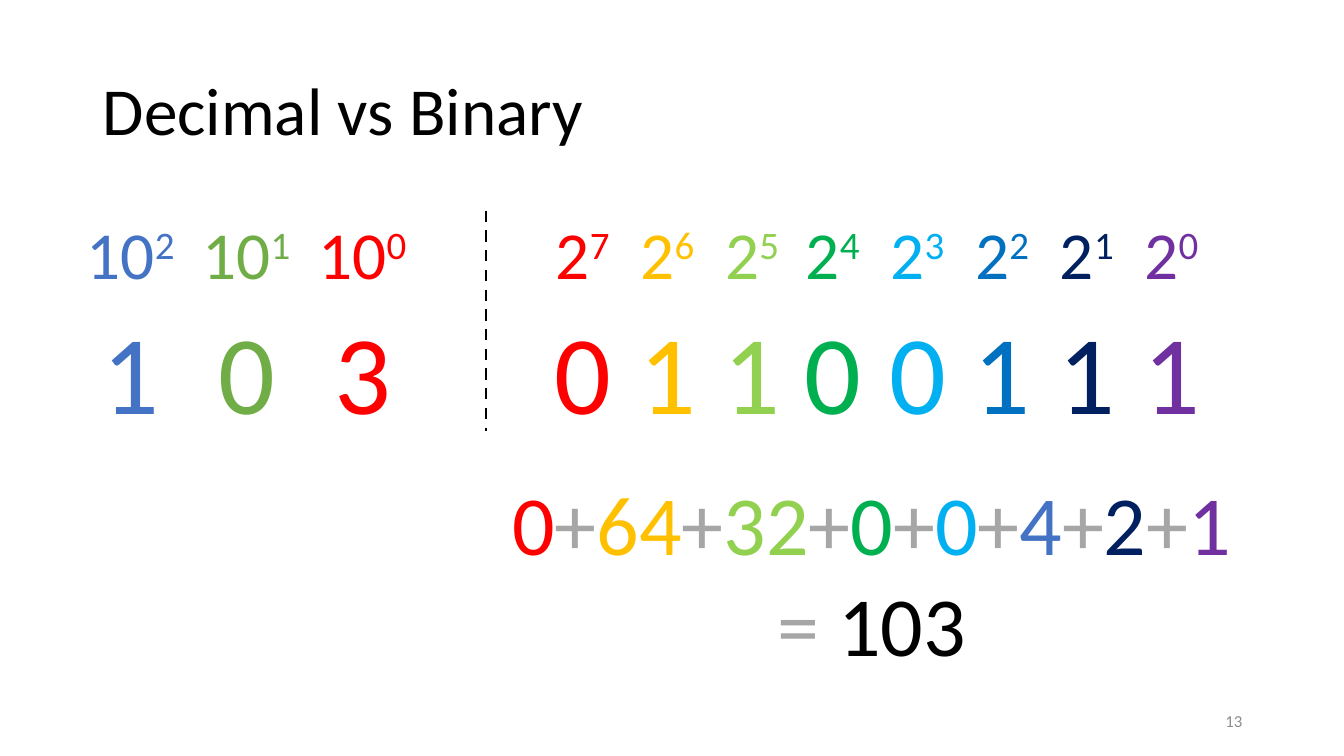
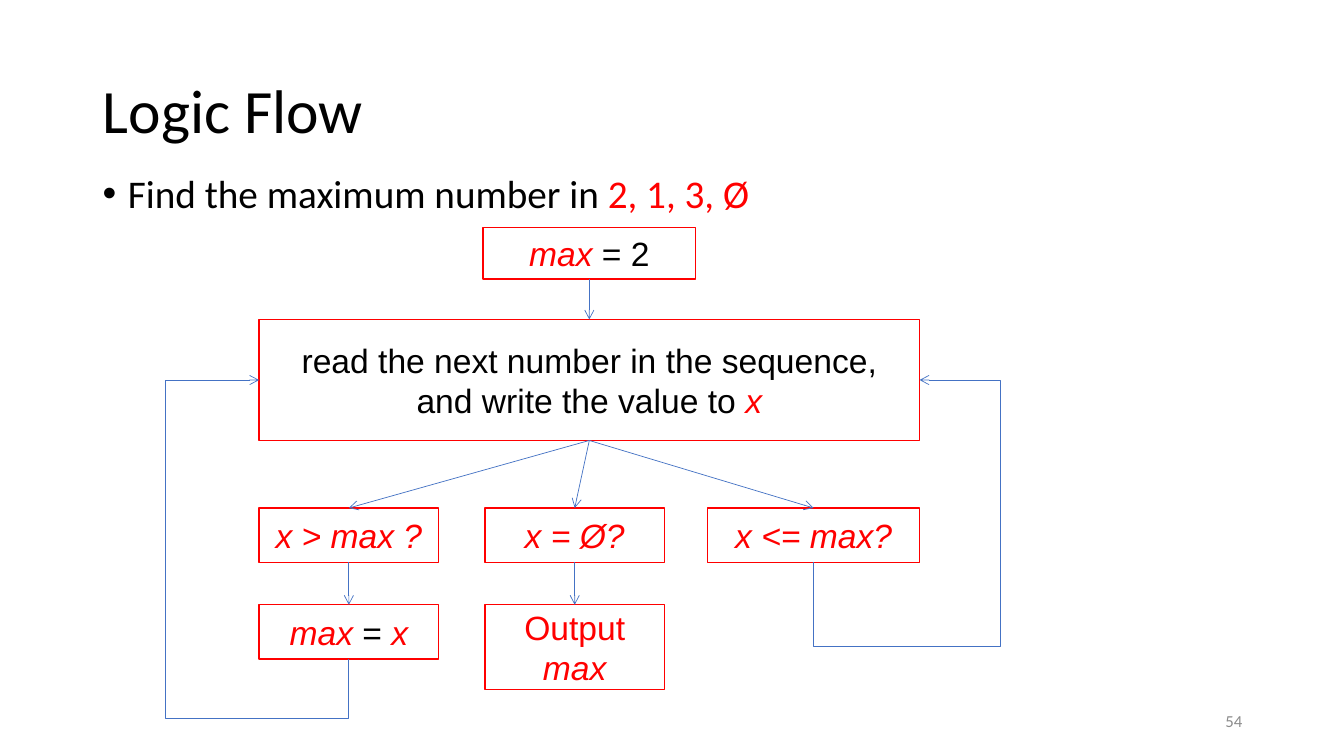
from lxml import etree
from pptx import Presentation
from pptx import util as u
from pptx.dml.color import RGBColor
from pptx.enum import dml, shapes, text
from pptx.oxml import ns

BLACK = RGBColor(0x00, 0x00, 0x00)
WHITE = RGBColor(0xFF, 0xFF, 0xFF)
RED = RGBColor(0xFF, 0x00, 0x00)
AMBER = RGBColor(0xFF, 0xC0, 0x00)
LIME = RGBColor(0x92, 0xD0, 0x50)
GREEN = RGBColor(0x00, 0xB0, 0x50)
SKY = RGBColor(0x00, 0xB0, 0xF0)
BLUE = RGBColor(0x00, 0x70, 0xC0)
NAVY = RGBColor(0x00, 0x20, 0x60)
PURPLE = RGBColor(0x70, 0x30, 0xA0)
ACCENT_BLUE = RGBColor(0x44, 0x72, 0xC4)
ACCENT_GREEN = RGBColor(0x70, 0xAD, 0x47)
GREY = RGBColor(0xA6, 0xA6, 0xA6)
FOOTER_GREY = RGBColor(0x8C, 0x8C, 0x8C)

HEADING_FONT = "Calibri"
FLOW_FONT = "Arial"
CENTER = text.PP_ALIGN.CENTER
TITLE_AREA = (0.92, 0.4, 11.5, 1.45)
NUMBER_AREA = (9.42, 6.95, 3, 0.4)
BOTTOM, LEFT, TOP, RIGHT = 2, 1, 0, 3


def inches(*lengths):
    return [u.Inches(length) for length in lengths]


def set_all(target, **values):
    for name, value in values.items():
        setattr(target, name, value)


def add_element(parent, tag, **attributes):
    element = etree.SubElement(parent, ns.qn(tag))
    for name, value in attributes.items():
        element.set(name, value)
    return element


def write_runs(paragraph, runs, size, font_name=HEADING_FONT, align=CENTER):
    paragraph.alignment = align
    for wording, colour, *style in runs:
        run = paragraph.add_run()
        run.text = wording
        set_all(run.font, name=font_name, size=u.Pt(size),
                bold=False, italic="italic" in style)
        run.font.color.rgb = colour
        if "raised" in style:
            run.font._element.set("baseline", "30000")


def add_text(slide, area, anchor=text.MSO_ANCHOR.TOP):
    frame = slide.shapes.add_textbox(*inches(*area)).text_frame
    set_all(frame, word_wrap=True, vertical_anchor=anchor)
    return frame


def add_titled_slide(deck, heading, number, size):
    slide = deck.slides.add_slide(deck.slide_layouts[5])
    title = slide.shapes.title
    for name, length in zip(("left", "top", "width", "height"), TITLE_AREA):
        setattr(title, name, u.Inches(length))
    set_all(title.text_frame, word_wrap=True,
            auto_size=text.MSO_AUTO_SIZE.NONE,
            vertical_anchor=text.MSO_ANCHOR.MIDDLE)
    heading_line = title.text_frame.paragraphs[0]
    heading_line.line_spacing = 0.9
    write_runs(heading_line, [(heading, BLACK)], size,
               align=text.PP_ALIGN.LEFT)
    page = add_text(slide, NUMBER_AREA, text.MSO_ANCHOR.MIDDLE)
    write_runs(page.paragraphs[0], [(number, FOOTER_GREY)], 12,
               align=text.PP_ALIGN.RIGHT)
    return slide


def add_line(slide, start, end, colour, width,
             kind=shapes.MSO_CONNECTOR.STRAIGHT):
    line = slide.shapes.add_connector(kind, *inches(*start, *end))
    line.line.color.rgb = colour
    line.line.width = u.Pt(width)
    add_element(line._element.spPr, "a:effectLst")
    return line


def add_place_values(slide, left, top, column_width, base, places):
    frame = slide.shapes.add_table(
        2, 3, *inches(left, top, 3 * column_width, 2.12))
    table = frame.table
    set_all(table, first_row=False, horz_banding=False)
    for column in table.columns:
        column.width = u.Inches(column_width)
    for row, height in zip(table.rows, (0.91, 1.21)):
        row.height = u.Inches(height)
    for cell in table.iter_cells():
        cell.fill.background()
    for index, (power, digit, colour) in enumerate(places):
        weight = [(base, colour), (power, colour, "raised")]
        for row, runs, size in ((0, weight, 48), (1, [(digit, colour)], 80)):
            write_runs(table.cell(row, index).text_frame.paragraphs[0],
                       runs, size)


def add_sum(slide, area, terms, total):
    frame = add_text(slide, area)
    runs = []
    for term in terms:
        if runs:
            runs.append(("+", GREY))
        runs.append(term)
    write_runs(frame.paragraphs[0], runs, 60)
    write_runs(frame.add_paragraph(), [("=", GREY), (" " + total, BLACK)], 60)


def build_number_slide(deck):
    slide = add_titled_slide(deck, "Decimal vs Binary", "13", 48)
    top = 2.09
    decimal = [("2", "1", ACCENT_BLUE), ("1", "0", ACCENT_GREEN),
               ("0", "3", RED)]
    colours = [RED, AMBER, LIME, GREEN, SKY, BLUE, NAVY, PURPLE]
    bits = "01100111"
    binary = [(str(7 - index), bit, colour)
              for index, (bit, colour) in enumerate(zip(bits, colours))]
    add_place_values(slide, 0.72, top, 1.15, "10", decimal)
    for group, left in enumerate((5.36, 7.84, 10.36)):
        add_place_values(slide, left, top, 0.84, "2",
                         binary[3 * group:3 * group + 3])
    term_colours = [ACCENT_BLUE if colour == BLUE else colour
                    for colour in colours]
    terms = [(str(int(bit) * 2 ** int(power)), colour)
             for (power, bit, _), colour in zip(binary, term_colours)]
    add_sum(slide, (4.66, 4.63, 7.97, 2.12), terms, str(int(bits, 2)))
    divider = add_line(slide, (4.82, top), (4.82, 4.28), BLACK, 2)
    divider.line.dash_style = dml.MSO_LINE.DASH


def add_task(slide, area, runs):
    left, top, width, height = area
    prompt = add_text(slide, (left, top, width, height))
    line = prompt.paragraphs[0]
    line.line_spacing = 0.9
    properties = line._p.get_or_add_pPr()
    properties.set("marL", str(u.Inches(0.25)))
    properties.set("indent", str(-u.Inches(0.25)))
    add_element(properties, "a:buFont", typeface="Arial")
    add_element(properties, "a:buChar", char="•")
    write_runs(line, runs, 28, align=text.PP_ALIGN.LEFT)


def add_step(slide, area, runs):
    step = slide.shapes.add_shape(shapes.MSO_SHAPE.RECTANGLE, *inches(*area))
    step.shadow.inherit = False
    step.fill.solid()
    step.fill.fore_color.rgb = WHITE
    step.line.color.rgb = RED
    step.line.width = u.Pt(1)
    set_all(step.text_frame, word_wrap=True,
            vertical_anchor=text.MSO_ANCHOR.MIDDLE,
            margin_left=u.Inches(0.12), margin_right=u.Inches(0.12))
    write_runs(step.text_frame.paragraphs[0], runs, 24, FLOW_FONT)
    return step


def side_middle(step, side):
    across = {LEFT: 0, RIGHT: 1}.get(side, 0.5)
    down = {TOP: 0, BOTTOM: 1}.get(side, 0.5)
    return ((step.left + across * step.width) / u.Inches(1),
            (step.top + down * step.height) / u.Inches(1))


def add_arrow(slide, start, end, kind=shapes.MSO_CONNECTOR.STRAIGHT):
    arrow = add_line(slide, start, end, ACCENT_BLUE, 0.5, kind)
    add_element(arrow.line._get_or_add_ln(), "a:tailEnd", type="arrow")
    return arrow


def join_down(slide, upper, lower):
    arrow = add_arrow(slide, side_middle(upper, BOTTOM),
                      side_middle(lower, TOP))
    arrow.begin_connect(upper, BOTTOM)
    arrow.end_connect(lower, TOP)


def loop_back(slide, source, target, side, floor, outer):
    start_x, start_y = side_middle(source, BOTTOM)
    end_x, end_y = side_middle(target, side)
    rise, reach = start_y - end_y, abs(end_x - start_x)
    left = (start_x + end_x - rise) / 2
    top = (start_y + end_y - reach) / 2
    loop = add_arrow(slide, (left, top), (left + rise, top + reach),
                     shapes.MSO_CONNECTOR.ELBOW)
    properties = loop._element.spPr
    frame = properties.find(ns.qn("a:xfrm"))
    frame.set("rot", "5400000")
    frame.set("flipH", "1")
    if side == RIGHT:
        frame.set("flipV", "1")
    geometry = properties.find(ns.qn("a:prstGeom"))
    geometry.set("prst", "bentConnector4")
    for guide in list(geometry):
        geometry.remove(guide)
    guides = add_element(geometry, "a:avLst")
    bends = ((start_y - floor) / rise, (outer - start_x) / (end_x - start_x))
    for index, bend in enumerate(bends, 1):
        add_element(guides, "a:gd", name=f"adj{index}",
                    fmla=f"val {round(bend * 100000)}")


def add_flow(slide, left, top):
    def step(x, y, width, height, *runs):
        return add_step(slide, (left + x, top + y, width, height), runs)

    max_name = ("max", RED, "italic")
    x_name = ("x", RED, "italic")
    check_y, result_y = 2.78, 3.74
    middle_x, check_width, check_height = 2.24, 1.78, 0.54
    start = step(2.22, 0, 2.11, 0.51, max_name, (" = 2", BLACK))
    read = step(0, 0.91, 6.55, 1.2,
                ("read the next number in the sequence, "
                 "and write the value to ", BLACK), x_name)
    larger = step(0, check_y, check_width, check_height,
                  ("x > max ?", RED, "italic"))
    finished = step(middle_x, check_y, check_width, check_height,
                    ("x = Ø?", RED, "italic"))
    smaller = step(4.45, check_y, 2.1, check_height,
                   ("x <= max?", RED, "italic"))
    update = step(0, result_y, check_width, check_height,
                  max_name, (" = ", BLACK), x_name)
    output = step(middle_x, result_y, check_width, 0.84,
                  ("Output ", RED), max_name)
    for upper, lower in ((start, read), (read, larger), (read, finished),
                         (read, smaller), (larger, update),
                         (finished, output)):
        join_down(slide, upper, lower)
    loop_back(slide, update, read, LEFT, top + 4.87, left - 0.93)
    loop_back(slide, smaller, read, RIGHT, top + 4.15, left + 7.35)


def build_flow_slide(deck):
    slide = add_titled_slide(deck, "Logic Flow", "54", 44)
    add_task(slide, (0.92, 1.68, 11.5, 0.81),
             [("Find the maximum number in ", BLACK), ("2, 1, 3, Ø", RED)])
    add_flow(slide, 2.57, 2.26)


def main():
    deck = Presentation()
    deck.slide_width, deck.slide_height = inches(13.33, 7.5)
    build_number_slide(deck)
    build_flow_slide(deck)
    deck.save("out.pptx")


if __name__ == "__main__":
    main()
